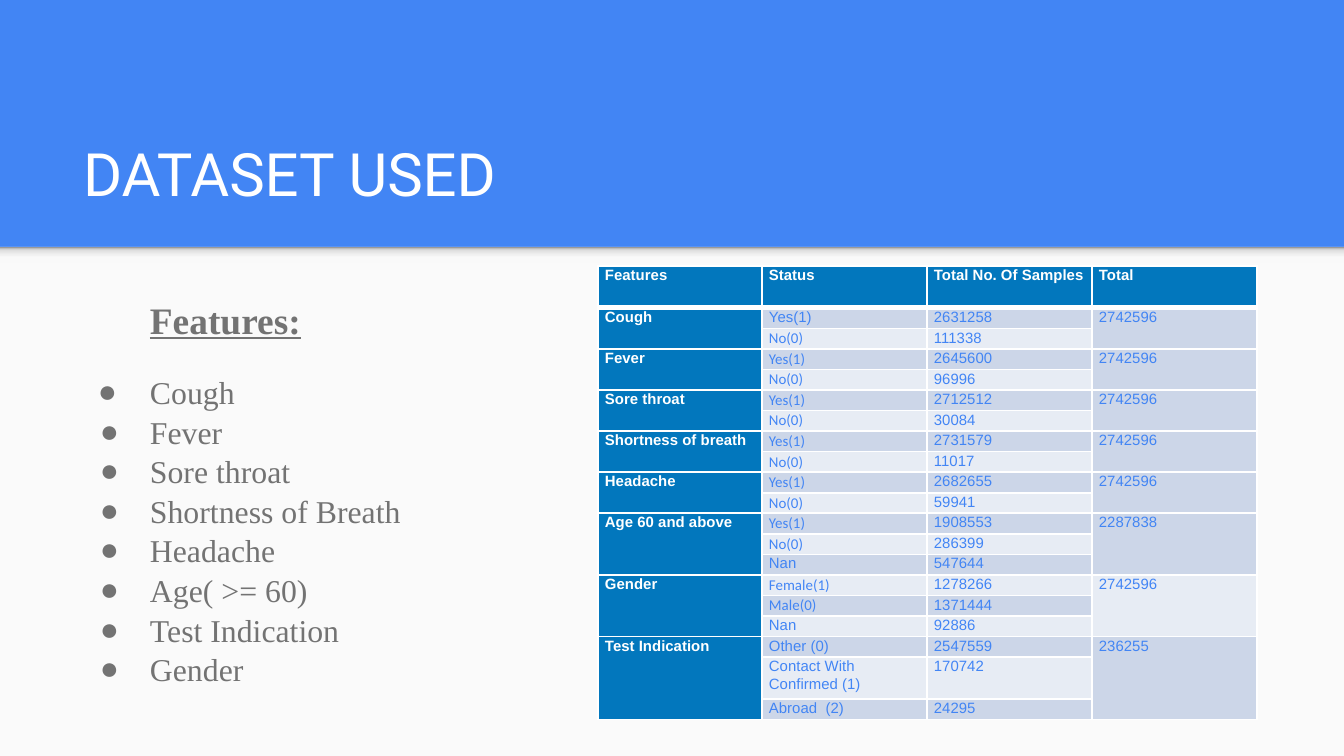
from dataclasses import dataclass

from lxml import etree
from pptx import Presentation
from pptx.dml.color import RGBColor
from pptx.enum.shapes import MSO_SHAPE
from pptx.enum.text import MSO_ANCHOR, MSO_AUTO_SIZE, PP_ALIGN
from pptx.oxml.ns import qn
from pptx.util import Pt

RECTANGLE = MSO_SHAPE.RECTANGLE
BOTTOM, TOP = MSO_ANCHOR.BOTTOM, MSO_ANCHOR.TOP
NO_AUTOFIT = MSO_AUTO_SIZE.NONE
LEFT = PP_ALIGN.LEFT
PX = 9144000 / 1344


@dataclass(frozen=True)
class Theme:
    blue: str = "4285F4"
    paper: str = "FAFAFA"
    white: str = "FFFFFF"
    grey: str = "737373"
    header: str = "0277BD"
    bands: tuple = ("E7ECF4", "CCD6E8")
    shadow: tuple = ((0, "F9F9F9"), (36, "F9F9F9"), (80, "DEDEDE"), (100, "999999"))
    title_size: int = 32
    heading_size: int = 20
    list_size: int = 17
    table_size: int = 8
    title_font: str = "Roboto"
    list_font: str = "Times New Roman"
    table_font: str = "Arial"
    status_font: str = "Calibri"


theme = Theme()


def px(*lengths):
    return [round(length * PX) for length in lengths]


def style(paragraph, font, size, color, bold=False):
    paragraph.alignment = LEFT
    for run in paragraph.runs:
        run.font.name = font
        run.font.size = Pt(size)
        run.font.bold = bold
        run.font.color.rgb = RGBColor.from_string(color)


presentation = Presentation()
presentation.slide_width, presentation.slide_height = px(1344, 756)
slide = presentation.slides.add_slide(presentation.slide_layouts[5])
slide.background.fill.solid()
slide.background.fill.fore_color.rgb = RGBColor.from_string(theme.blue)

panel = slide.shapes.add_shape(RECTANGLE, *px(0, 247, 1344, 509))
panel.fill.solid()
panel.fill.fore_color.rgb = RGBColor.from_string(theme.paper)
panel_edge = slide.shapes.add_shape(RECTANGLE, *px(0, 247, 1344, 16))
panel_edge.fill.gradient()
panel_edge.fill.gradient_angle = 90
stops = panel_edge.fill._fill._gradFill.find(qn("a:gsLst"))
for stop in list(stops):
    stops.remove(stop)
for position, color in theme.shadow:
    stop = etree.SubElement(stops, qn("a:gs"), pos=str(position * 1000))
    etree.SubElement(stop, qn("a:srgbClr"), val=color)
for area in (panel, panel_edge):
    area.line.fill.background()
    area.shadow.inherit = False

title = slide.shapes.title
title.left, title.top, title.width, title.height = px(70, 109, 1208, 113)
title.text_frame.text = "DATASET USED"
style(title.text_frame.paragraphs[0], theme.title_font, theme.title_size, theme.white)

features = slide.shapes.add_textbox(*px(70, 282, 621, 454))
for frame, anchor in ((title.text_frame, BOTTOM), (features.text_frame, TOP)):
    frame.auto_size = NO_AUTOFIT
    frame.word_wrap = True
    frame.vertical_anchor = anchor
    frame.margin_left, frame.margin_top, frame.margin_right, frame.margin_bottom = px(13, 13, 13, 13)

feature_lines = ["Features:", "Cough", "Fever", "Sore throat", "Shortness of Breath",
                 "Headache", "Age( >= 60)", "Test Indication", "Gender"]
features.text_frame.text = "\n".join(feature_lines)
for index, line in enumerate(features.text_frame.paragraphs):
    heading = index == 0
    style(line, theme.list_font, theme.heading_size if heading else theme.list_size,
          theme.grey, heading)
    line.line_spacing = 1.04
    properties = line._p.get_or_add_pPr()
    margin, hanging = px(67, 52 if index == 1 else 50)
    properties.set("marL", str(margin))
    if heading:
        line.runs[0].font.underline = True
        properties.set("indent", "0")
        continue
    line.space_before = Pt(16 if index == 1 else 0)
    properties.set("indent", str(-hanging))
    bullet_color = etree.SubElement(properties, qn("a:buClr"))
    etree.SubElement(bullet_color, qn("a:srgbClr"), val=theme.grey)
    etree.SubElement(properties, qn("a:buFont"), typeface=theme.list_font)
    etree.SubElement(properties, qn("a:buChar"), char="●")

headings = ["Features", "Status", "Total No. Of Samples", "Total"]
groups = [
    ("Cough", "2742596", [("Yes(1)", "2631258"), ("No(0)", "111338")]),
    ("Fever", "2742596", [("Yes(1)", "2645600"), ("No(0)", "96996")]),
    ("Sore throat", "2742596", [("Yes(1)", "2712512"), ("No(0)", "30084")]),
    ("Shortness of breath", "2742596", [("Yes(1)", "2731579"), ("No(0)", "11017")]),
    ("Headache", "2742596", [("Yes(1)", "2682655"), ("No(0)", "59941")]),
    ("Age 60 and above", "2287838",
     [("Yes(1)", "1908553"), ("No(0)", "286399"), ("Nan", "547644")]),
    ("Gender", "2742596",
     [("Female(1)", "1278266"), ("Male(0)", "1371444"), ("Nan", "92886")]),
    ("Test Indication", "236255",
     [("Other (0)", "2547559"), ("Contact With Confirmed (1)", "170742"),
      ("Abroad  (2)", "24295")]),
]
calibri_statuses = {"Yes(1)", "No(0)", "Female(1)", "Male(0)"}
rows = [headings]
merges = []
for feature, total, statuses in groups:
    merges.append((len(rows), len(rows) + len(statuses) - 1))
    for index, (status, samples) in enumerate(statuses):
        rows.append([feature, status, samples, total] if index == 0 else ["", status, samples, ""])

samples_table = slide.shapes.add_table(len(rows), 4, *px(598, 266, 659, 454)).table
for column, width in zip(samples_table.columns, px(164, 165, 165, 165)):
    column.width = width
tall_rows = (0, 18)
tall, short = px(42, (454 - 42 * len(tall_rows)) / (len(rows) - len(tall_rows)))
for r, values in enumerate(rows):
    samples_table.rows[r].height = tall if r in tall_rows else short
    for c, value in enumerate(values):
        cell = samples_table.cell(r, c)
        cell.margin_left, cell.margin_right = px(7, 7)
        cell.margin_top = cell.margin_bottom = 0
        cell_properties = cell._tc.get_or_add_tcPr()
        for side in ("lnL", "lnR", "lnT", "lnB"):
            heavy = (r, side) in ((0, "lnB"), (1, "lnT"))
            border = etree.SubElement(cell_properties, qn(f"a:{side}"), w=str(Pt(3 if heavy else 1)))
            border_fill = etree.SubElement(border, qn("a:solidFill"))
            etree.SubElement(border_fill, qn("a:srgbClr"), val=theme.white)
        labelled = r == 0 or c == 0
        cell.fill.solid()
        cell.fill.fore_color.rgb = RGBColor.from_string(theme.header if labelled else theme.bands[r % 2])
        cell.text_frame.text = value
        entry = cell.text_frame.paragraphs[0]
        entry.line_spacing = 1.06
        font = theme.status_font if r > 1 and value in calibri_statuses else theme.table_font
        style(entry, font, theme.table_size, theme.white if labelled else theme.blue, labelled)
for first, last in merges:
    for c in (0, 3):
        samples_table.cell(first, c).merge(samples_table.cell(last, c))

presentation.save("out.pptx")
